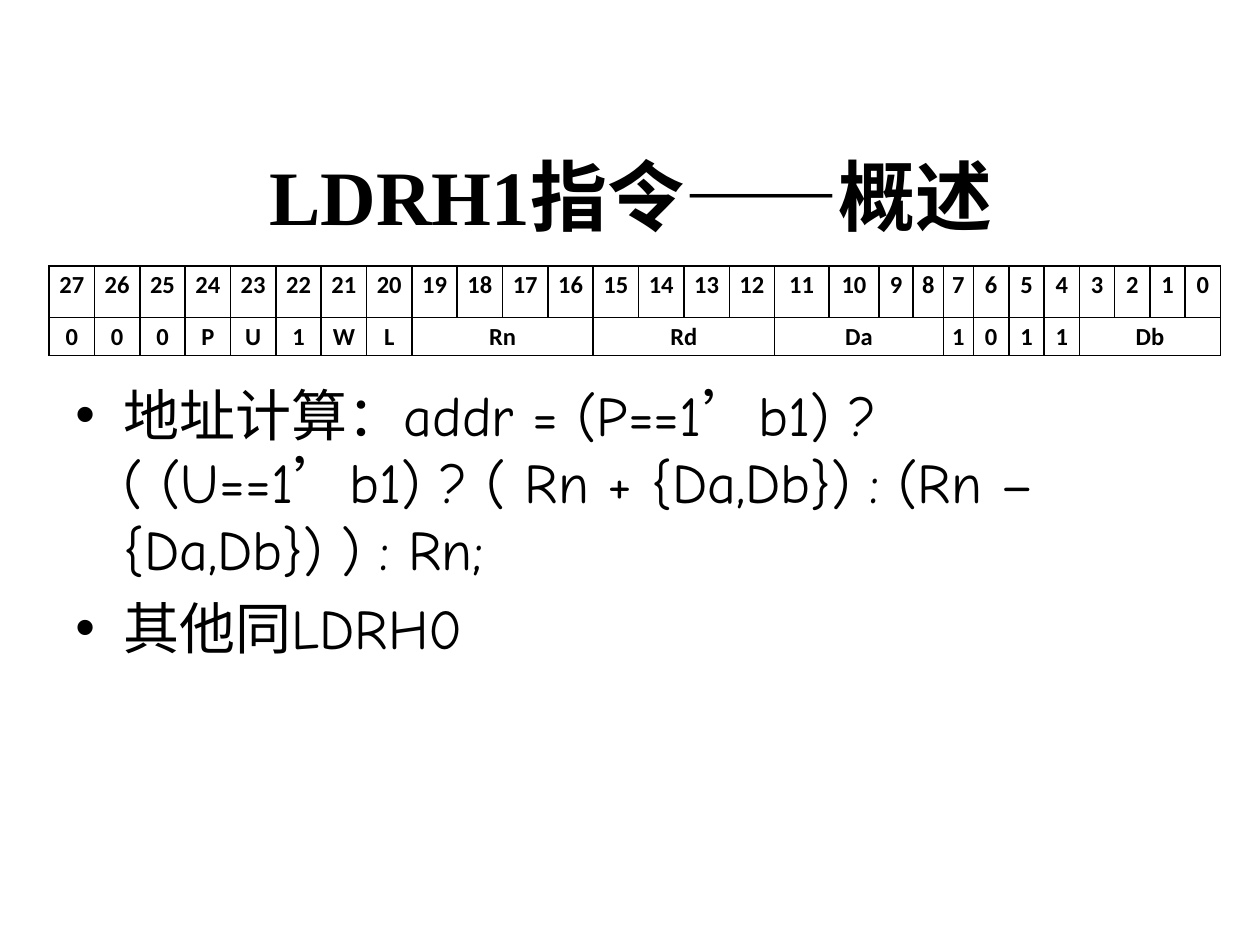
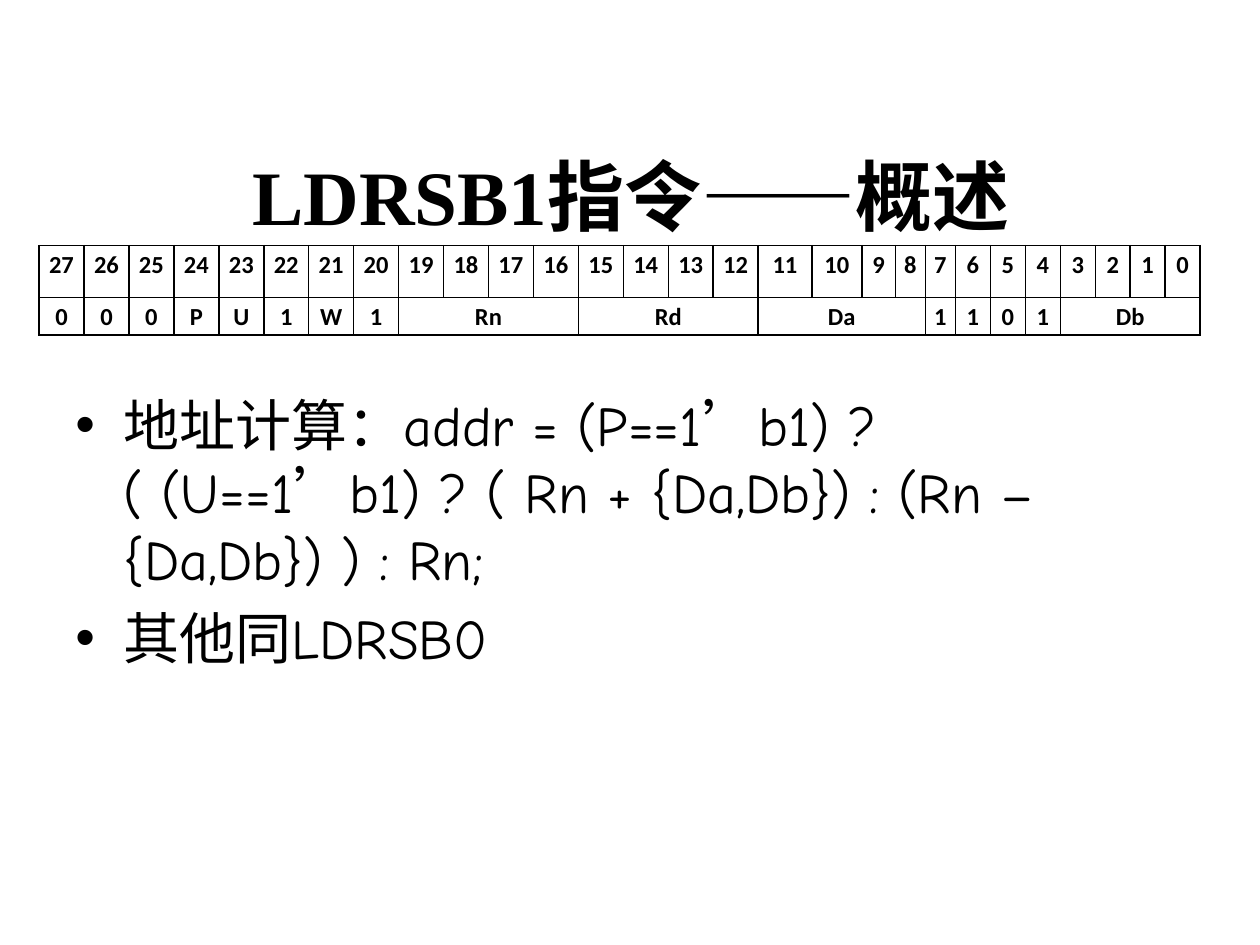
import pptx
import pptx.dml.color
import pptx.enum.text
import pptx.oxml.ns
import pptx.util
from lxml import etree

INK = "000000"
TITLE_FONT, BODY_FONT, TABLE_FONT = "Times New Roman", "Comic Neue", "Calibri"
ADDRESS_RULE = "地址计算：addr = (P==1’b1) ? ( (U==1’b1) ? ( Rn + {Da,Db}) : (Rn –{Da,Db}) ) : Rn;"
INSTRUCTIONS = [
    {"name": "LDRH1", "same_as": "LDRH0", "load_bit": "L", "type_bits": "1011",
     "table": (0.39, 2.11, 9.3), "body_top": 2.97},
    {"name": "LDRSB1", "same_as": "LDRSB0", "load_bit": "1", "type_bits": "1101",
     "table": (0.31, 1.95, 9.22), "body_top": 3.05},
]
BIT_NUMBERS = [str(bit) for bit in range(27, -1, -1)]
COLUMN_SHARES = [0.36] * 16 + [0.43, 0.4, 0.27, 0.24, 0.24] + [0.28] * 7
ROW_HEIGHTS = [0.41, 0.3]
FIELD_BITS = 4
BODY_BOTTOM = 6.7

inch = pptx.util.Inches
point = pptx.util.Pt
CENTER = pptx.enum.text.PP_ALIGN.CENTER
MIDDLE = pptx.enum.text.MSO_ANCHOR.MIDDLE


def color(value):
    return pptx.dml.color.RGBColor.from_string(value)


def add_child(parent, tag, **attributes):
    return etree.SubElement(parent, pptx.oxml.ns.qn(tag), attributes)


def format_runs(para, font, size, bold=False):
    for span in para.runs:
        span.font.name = font
        span.font.size = point(size)
        span.font.bold = bold
        span.font.color.rgb = color(INK)


def add_text(page, left, top, width, height, text):
    box = page.shapes.add_textbox(inch(left), inch(top), inch(width), inch(height))
    box.text_frame.word_wrap = True
    box.text_frame.text = text
    return box.text_frame


def add_title(page, text):
    frame = add_text(page, 0.51, 0.92, 9, 1.25, text)
    frame.vertical_anchor = MIDDLE
    para = frame.paragraphs[0]
    para.alignment = CENTER
    format_runs(para, TITLE_FONT, 44, True)


def add_bullets(page, top, lines):
    frame = add_text(page, 0.5, top, 9, BODY_BOTTOM - top, "\n".join(lines))
    for para in frame.paragraphs:
        para.space_before = point(6.4)
        format_runs(para, BODY_FONT, 32)
        settings = para._p.get_or_add_pPr()
        settings.set("marL", str(inch(0.38)))
        settings.set("indent", str(-inch(0.38)))
        add_child(settings, "a:buFont", typeface="Arial")
        add_child(settings, "a:buChar", char="•")


def draw_borders(cell):
    settings = cell._tc.get_or_add_tcPr()
    for side in ("a:lnL", "a:lnR", "a:lnT", "a:lnB"):
        line = add_child(settings, side, w=str(point(1)))
        add_child(add_child(line, "a:solidFill"), "a:srgbClr", val=INK)


def fill_cell(cell, text):
    cell.margin_left = cell.margin_right = inch(0.07)
    cell.margin_top = cell.margin_bottom = 0
    cell.text_frame.text = text
    para = cell.text_frame.paragraphs[0]
    para.alignment = CENTER
    para.line_spacing = 1.15
    para.space_after = point(10)
    format_runs(para, TABLE_FONT, 14, True)


def add_encoding(page, left, top, width, fields):
    table = page.shapes.add_table(len(ROW_HEIGHTS), len(BIT_NUMBERS), inch(left), inch(top),
                                  inch(width), inch(sum(ROW_HEIGHTS))).table
    table.first_row = table.horz_banding = False
    for column, share in zip(table.columns, COLUMN_SHARES):
        column.width = inch(width * share / sum(COLUMN_SHARES))
    for row, height in zip(table.rows, ROW_HEIGHTS):
        row.height = inch(height)
        for cell in row.cells:
            draw_borders(cell)
            cell.fill.background()
            fill_cell(cell, "")
    for column, number in enumerate(BIT_NUMBERS):
        fill_cell(table.cell(0, column), number)
    column = 0
    for field in fields:
        bits = FIELD_BITS if len(field) > 1 else 1
        if bits > 1:
            table.cell(1, column).merge(table.cell(1, column + bits - 1))
        fill_cell(table.cell(1, column), field)
        column += bits


def main():
    deck = pptx.Presentation()
    deck.slide_width, deck.slide_height = inch(10), inch(7.5)
    for item in INSTRUCTIONS:
        page = deck.slides.add_slide(deck.slide_layouts[6])
        add_title(page, item["name"] + "指令——概述")
        add_bullets(page, item["body_top"], [ADDRESS_RULE, "其他同" + item["same_as"]])
        fields = [*"000PU1W", item["load_bit"], "Rn", "Rd", "Da", *item["type_bits"], "Db"]
        add_encoding(page, *item["table"], fields)
    deck.save("out.pptx")


if __name__ == "__main__":
    main()
